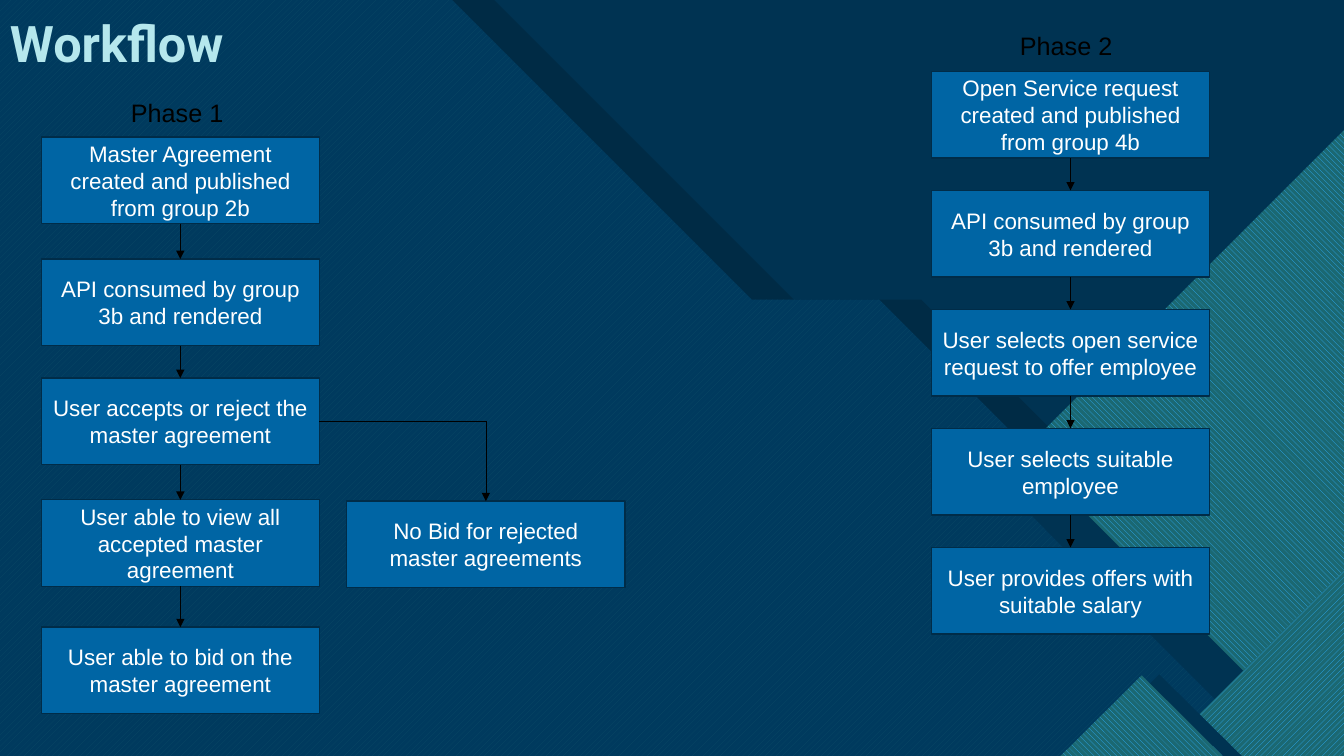
from lxml import etree
from pptx import Presentation
from pptx.dml.color import RGBColor
from pptx.enum.dml import MSO_PATTERN
from pptx.enum.shapes import MSO_CONNECTOR, MSO_SHAPE
from pptx.enum.text import MSO_ANCHOR, PP_ALIGN
from pptx.oxml.ns import qn
from pptx.util import Pt

RECT = MSO_SHAPE.RECTANGLE
STRAIGHT = MSO_CONNECTOR.STRAIGHT
CENTER = PP_ALIGN.CENTER
MIDDLE, BOTTOM = MSO_ANCHOR.MIDDLE, MSO_ANCHOR.BOTTOM
UP = MSO_PATTERN.WIDE_UPWARD_DIAGONAL
DOWN = MSO_PATTERN.WIDE_DOWNWARD_DIAGONAL
TOP_SIDE, BOTTOM_SIDE, RIGHT_SIDE = 0, 2, 3

COLORS = {
    "navy": "003352",
    "black": "000000",
    "white": "FFFFFF",
    "box": "0065A4",
    "border": "002C48",
    "title": "B5E7ED",
    "aqua": "47C3D3",
    "sky": "2FAFFF",
    "teal": "1B6872",
}
W, H = 960, 540
BOX_W, BOX_H = 198.7, 61.9


def rgb(name):
    return RGBColor.from_string(COLORS[name])


class WorkflowSlide:
    def __init__(self, prs):
        self.s = prs.slides.add_slide(prs.slide_layouts[6])
        fill = self.s.background.fill
        fill.solid()
        fill.fore_color.rgb = rgb("navy")

    def polygon(self, points, color, back=None, pattern=None, opacity=100):
        pts = [(Pt(x), Pt(y)) for x, y in points]
        builder = self.s.shapes.build_freeform(*pts[0])
        builder.add_line_segments(pts[1:], close=True)
        sp = builder.convert_to_shape()
        sp.shadow.inherit = False
        sp.line.fill.background()
        if pattern:
            sp.fill.patterned()
            sp.fill.pattern = pattern
            sp.fill.back_color.rgb = rgb(back)
        else:
            sp.fill.solid()
        sp.fill.fore_color.rgb = rgb(color)
        if opacity < 100:
            clr = sp._element.spPr.find(qn("a:solidFill"))[0]
            etree.SubElement(clr, qn("a:alpha"), val=str(opacity * 1000))

    def set_text(self, sp, text, size, color, font="Arial", bold=False):
        tf = sp.text_frame
        tf.word_wrap = True
        tf.text = text
        p = tf.paragraphs[0]
        f = p.runs[0].font
        f.name, f.size, f.bold = font, Pt(size), bold
        f.color.rgb = rgb(color)
        return tf, p

    def label(self, text, x, y, w=87, h=29):
        sp = self.s.shapes.add_textbox(Pt(x), Pt(y), Pt(w), Pt(h))
        self.set_text(sp, text, 18, "black")

    def title(self, text):
        sp = self.s.shapes.add_textbox(0, 0, Pt(W), Pt(56))
        tf, p = self.set_text(sp, text, 36, "title", "Roboto", True)
        tf.vertical_anchor = BOTTOM
        p.line_spacing = 0.9

    def box(self, text, x, y):
        sp = self.s.shapes.add_shape(RECT, Pt(x), Pt(y), Pt(BOX_W), Pt(BOX_H))
        sp.shadow.inherit = False
        sp.fill.solid()
        sp.fill.fore_color.rgb = rgb("box")
        sp.line.color.rgb = rgb("border")
        sp.line.width = Pt(1)
        tf, p = self.set_text(sp, text, 16, "white")
        tf.vertical_anchor = MIDDLE
        p.alignment = CENTER
        return sp

    def connector(self, x1, y1, x2, y2, arrow=True):
        c = self.s.shapes.add_connector(STRAIGHT, x1, y1, x2, y2)
        c.line.color.rgb = rgb("black")
        c.line.width = Pt(0.5)
        if arrow:
            ln = c._element.spPr.find(qn("a:ln"))
            etree.SubElement(ln, qn("a:tailEnd"), type="triangle")
        etree.SubElement(c._element.spPr, qn("a:effectLst"))
        return c

    def chain(self, steps, x, tops):
        boxes = [self.box(text, x, y) for text, y in zip(steps, tops)]
        for upper, lower in zip(boxes, boxes[1:]):
            c = self.connector(0, 0, 0, 0)
            c.begin_connect(upper, BOTTOM_SIDE)
            c.end_connect(lower, TOP_SIDE)
        return boxes

    def branch(self, source, target):
        corner_x = target.left + target.width // 2
        corner_y = source.top + source.height // 2
        across = self.connector(0, corner_y, corner_x, corner_y, arrow=False)
        across.begin_connect(source, RIGHT_SIDE)
        down = self.connector(corner_x, corner_y, corner_x, target.top)
        down.end_connect(target, TOP_SIDE)

    def stepped_panel(self, left, top_x, right_y, color, **fill):
        ledge_y = 214
        ledge_x = top_x + ledge_y
        ledge_end = ledge_x + 91
        end_x = min(W, ledge_end + H - ledge_y)
        self.polygon(
            [(left, 0), (top_x, 0), (ledge_x, ledge_y), (ledge_end, ledge_y),
             (end_x, right_y), (end_x, H), (left, H)], color, **fill)

    def backdrop(self):
        self.stepped_panel(30, 353, 516, "black")
        self.stepped_panel(0, 323, H, "aqua", back="box", pattern=UP)
        self.stepped_panel(0, 500, 369, "navy", opacity=85)
        stripes = {"color": "sky", "back": "teal"}
        self.polygon([(W, 111.6), (W, 510), (878.4, 510), (720, 351.4)], "navy")
        self.polygon([(W, 93), (W, 531), (940, 531), (731, 322)],
                     pattern=DOWN, **stripes)
        self.polygon([(W, 442), (W, H), (862, H)], "navy")
        self.polygon([(W, 407.5), (W, H), (885, H), (856.5, 510.5)],
                     pattern=UP, **stripes)
        self.polygon([(887, H), (828, 481.7), (770, H)], "navy")
        self.polygon([(757.5, H), (815.5, 482.4), (873.4, H)],
                     pattern=DOWN, **stripes)


def main():
    prs = Presentation()
    prs.slide_width, prs.slide_height = Pt(W), Pt(H)
    slide = WorkflowSlide(prs)
    slide.backdrop()
    slide.title("Workflow")

    agreement_steps = [
        "Master Agreement created and published from group 2b",
        "API consumed by group 3b and rendered",
        "User accepts or reject the master agreement",
        "User able to view all accepted master agreement",
        "User able to bid on the master agreement",
    ]
    agreement = slide.chain(agreement_steps, 29.5, [98, 185, 270, 357, 448])
    no_bid = slide.box("No Bid for rejected master agreements", 247.7, 358)
    slide.branch(agreement[2], no_bid)

    service_steps = [
        "Open Service request created and published from group 4b",
        "API consumed by group 3b and rendered",
        "User selects open service request to offer employee",
        "User selects suitable employee",
        "User provides offers with suitable salary",
    ]
    slide.chain(service_steps, 665.3, [51 + 85 * i for i in range(5)])

    slide.label("Phase 1", 86.4, 66.2)
    slide.label("Phase 2", 721.4, 18)
    prs.save("out.pptx")


if __name__ == "__main__":
    main()
